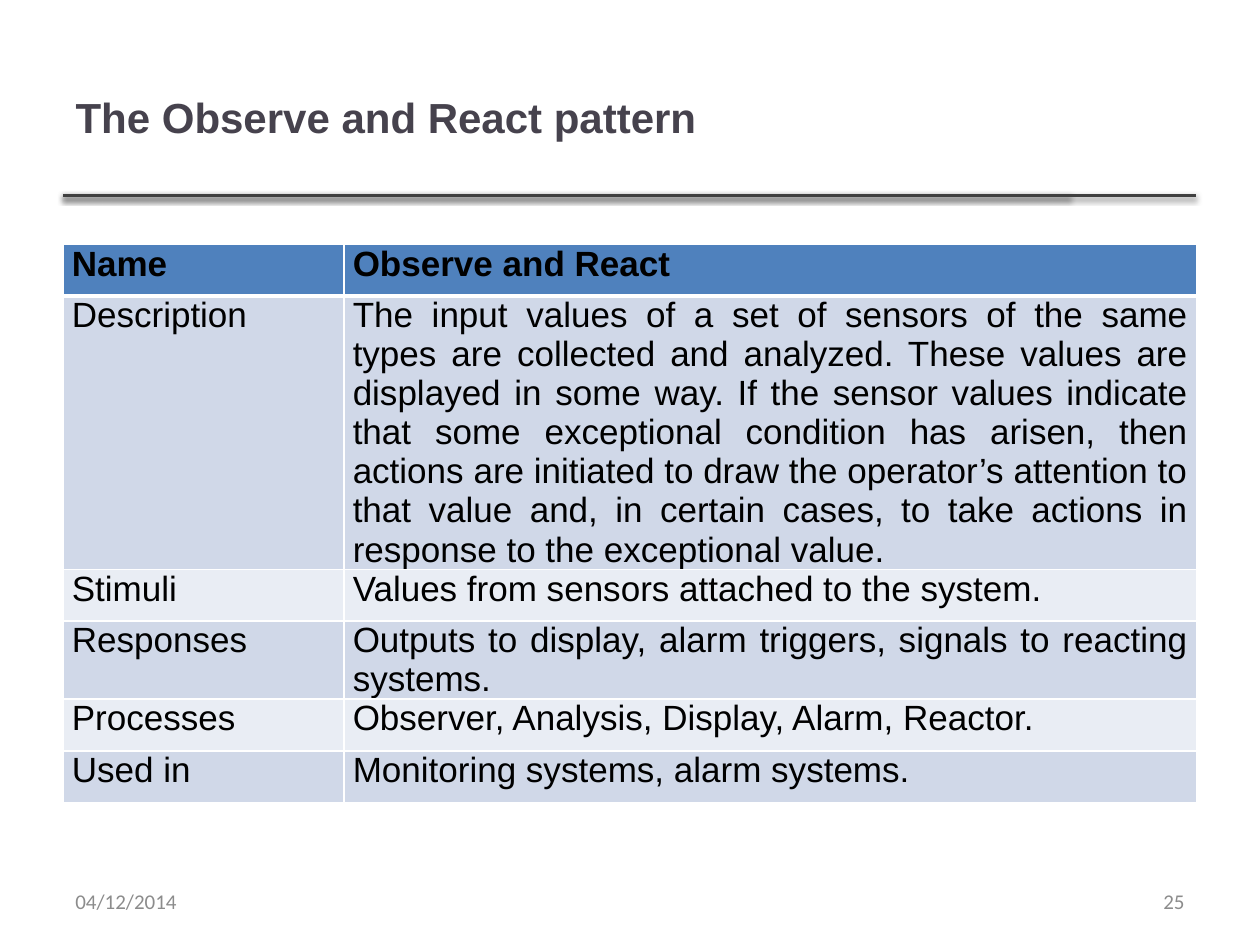
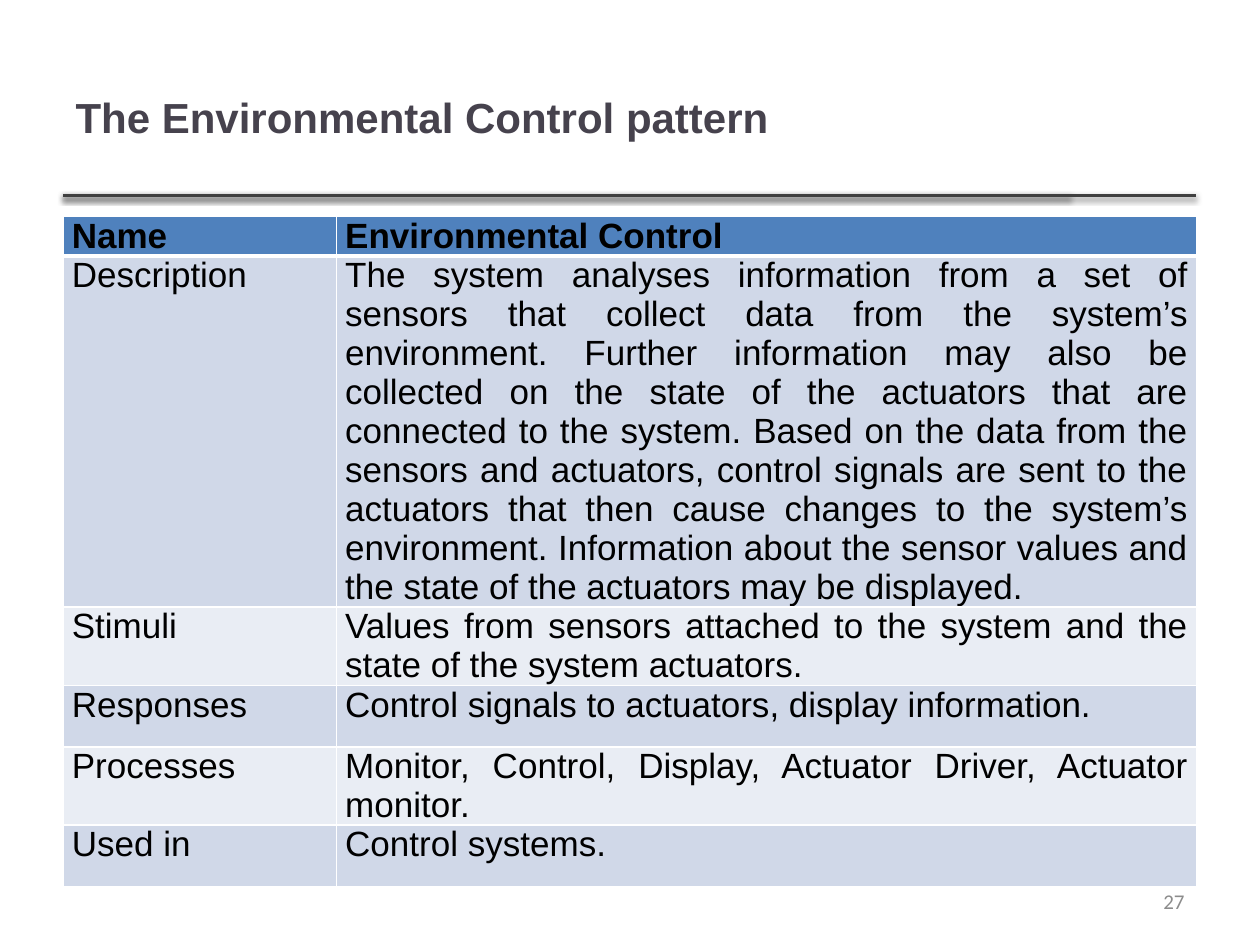
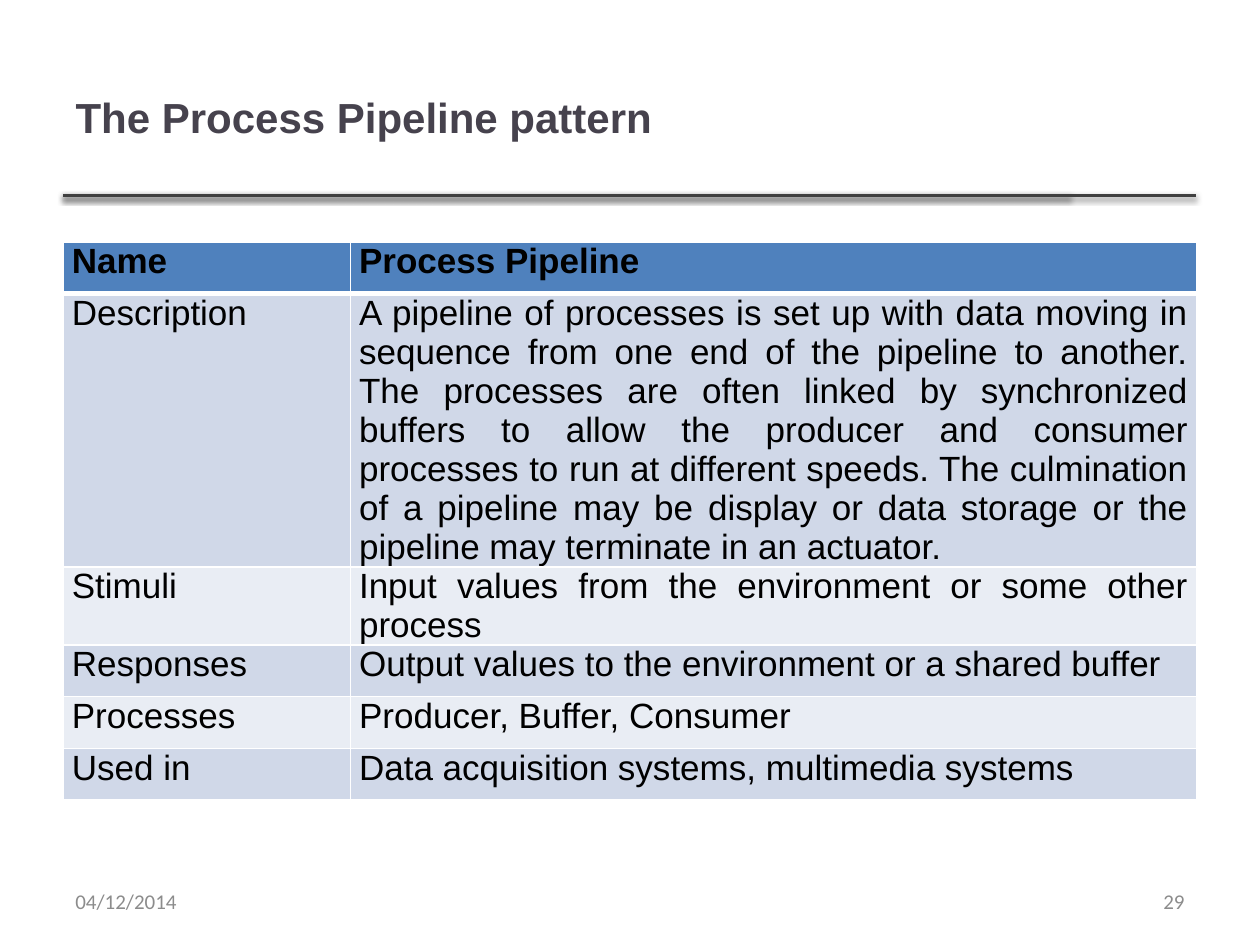
import pptx
import pptx.dml.color
import pptx.enum.shapes
import pptx.enum.text
import pptx.oxml
import pptx.oxml.ns
import pptx.util

Inches = pptx.util.Inches
Pt = pptx.util.Pt
RGBColor = pptx.dml.color.RGBColor
ALIGN = pptx.enum.text.PP_ALIGN
MIDDLE = pptx.enum.text.MSO_ANCHOR.MIDDLE

BLACK = RGBColor(0x00, 0x00, 0x00)
WHITE = RGBColor(0xFF, 0xFF, 0xFF)
TITLE_INK = RGBColor(0x46, 0x42, 0x4D)
RULE_GREY = RGBColor(0x40, 0x40, 0x40)
FOOTER_GREY = RGBColor(0x8C, 0x8C, 0x8C)
HEADER_BLUE = RGBColor(0x4F, 0x81, 0xBD)
BANDS = (RGBColor(0xE9, 0xED, 0xF4), RGBColor(0xD0, 0xD8, 0xE8))

TITLE_FONT = {"name": "Arial", "size": Pt(24), "bold": True}
HEADER_FONT = {"name": "Arial", "size": Pt(20), "bold": True}
BODY_FONT = {**HEADER_FONT, "bold": False}
FOOTER_FONT = {"name": "Calibri", "size": Pt(12), "bold": False}

TITLE_BOX = (0.5, 0.3, 7.98, 1.25)
DATE_BOX = (0.5, 6.95, 2.33, 0.4)
NUMBER_BOX = (7.17, 6.95, 2.33, 0.4)
RULE_LEFT, RULE_TOP, RULE_ENDS = 0.5, 1.55, (8.49, 9.49)
FIELDS = ("Name", "Description", "Stimuli", "Responses", "Processes", "Used in")
EVEN_ROWS = [0.41] * len(FIELDS)

PATTERNS = [
    {
        "title": "The Observe and React pattern",
        "date": "04/12/2014",
        "number": "25",
        "box": (0.5, 1.94, 9, 4.62),
        "field_width": 2.23,
        "rows": EVEN_ROWS,
        "values": [
            "Observe and React",
            "The input values of a set of sensors of the same types are collected and "
            "analyzed. These values are displayed in some way. If the sensor values "
            "indicate that some exceptional condition has arisen, then actions are "
            "initiated to draw the operator’s attention to that value and, in certain "
            "cases, to take actions in response to the exceptional value.",
            "Values from sensors attached to the system.",
            "Outputs to display, alarm triggers, signals to reacting systems.",
            "Observer, Analysis, Display, Alarm, Reactor.",
            "Monitoring systems, alarm systems.",
        ],
    },
    {
        "title": "The Environmental Control pattern",
        "date": None,
        "number": "27",
        "box": (0.5, 1.72, 9, 5.65),
        "field_width": 2.17,
        "rows": [0.28, 1.69, 0.56, 0.49, 0.49, 0.49],
        "values": [
            "Environmental Control",
            "The system analyses information from a set of sensors that collect data "
            "from the system’s environment. Further information may also be collected "
            "on the state of the actuators that are connected to the system. Based on "
            "the data from the sensors and actuators, control signals are sent to the "
            "actuators that then cause changes to the system’s environment. Information "
            "about the sensor values and the state of the actuators may be displayed.",
            "Values from sensors attached to the system and the state of the system "
            "actuators.",
            "Control signals to actuators, display information.",
            "Monitor, Control, Display, Actuator Driver, Actuator monitor.",
            "Control systems.",
        ],
    },
    {
        "title": "The Process Pipeline pattern",
        "date": "04/12/2014",
        "number": "29",
        "box": (0.5, 1.92, 9, 4.62),
        "field_width": 2.28,
        "rows": EVEN_ROWS,
        "values": [
            "Process Pipeline",
            "A pipeline of processes is set up with data moving in sequence from one end "
            "of the pipeline to another. The processes are often linked by synchronized "
            "buffers to allow the producer and consumer processes to run at different "
            "speeds. The culmination of a pipeline may be display or data storage or the "
            "pipeline may terminate in an actuator.",
            "Input values from the environment or some other process",
            "Output values to the environment or a shared buffer",
            "Producer, Buffer, Consumer",
            "Data acquisition systems, multimedia systems",
        ],
    },
]


def set_attributes(target, values):
    for key, value in values.items():
        setattr(target, key, value)


def write(frame, text, font, color, **paragraph_format):
    frame.text = text
    paragraph = frame.paragraphs[0]
    set_attributes(paragraph, paragraph_format)
    set_attributes(paragraph.runs[0].font, font)
    paragraph.runs[0].font.color.rgb = color


def add_title(slide, box, text):
    title = slide.shapes.title
    edges = ("left", "top", "width", "height")
    set_attributes(title, dict(zip(edges, map(Inches, box))))
    set_attributes(title.text_frame, {
        "vertical_anchor": MIDDLE,
        "word_wrap": True,
        "auto_size": pptx.enum.text.MSO_AUTO_SIZE.NONE,
    })
    write(title.text_frame, text, TITLE_FONT, TITLE_INK, alignment=ALIGN.LEFT)


def add_title_rules(slide, left, top, ends):
    for end in ends:
        rule = slide.shapes.add_connector(
            pptx.enum.shapes.MSO_CONNECTOR.STRAIGHT,
            Inches(left), Inches(top), Inches(end), Inches(top))
        rule.line.color.rgb = RULE_GREY
        rule.line.width = Pt(2)
        rule.element.spPr.append(pptx.oxml.parse_xml(
            f'<a:effectLst {pptx.oxml.ns.nsdecls("a")}>'
            f'<a:outerShdw blurRad="{Pt(3.1)}" dist="{Pt(1.6)}" dir="5400000" '
            f'rotWithShape="0"><a:srgbClr val="{BLACK}"><a:alpha val="38000"/>'
            '</a:srgbClr></a:outerShdw></a:effectLst>'))


def add_footer(slide, box, text, alignment):
    footer = slide.shapes.add_textbox(*map(Inches, box)).text_frame
    footer.word_wrap = True
    footer.vertical_anchor = MIDDLE
    write(footer, text, FOOTER_FONT, FOOTER_GREY, alignment=alignment)


def set_borders(cell, top, bottom):
    widths = {"lnL": 1, "lnR": 1, "lnT": top, "lnB": bottom}
    properties = cell._tc.get_or_add_tcPr()
    for position, (side, width) in enumerate(widths.items()):
        properties.insert(position, pptx.oxml.parse_xml(
            f'<a:{side} {pptx.oxml.ns.nsdecls("a")} w="{Pt(width)}">'
            f'<a:solidFill><a:srgbClr val="{WHITE}"/></a:solidFill></a:{side}>'))


def fill_cell(cell, row, text):
    is_header = row == 0
    set_attributes(cell, {
        "margin_left": Inches(0.07), "margin_right": Inches(0.07),
        "margin_top": 0, "margin_bottom": 0,
    })
    write(cell.text_frame, text, HEADER_FONT if is_header else BODY_FONT, BLACK,
          alignment=ALIGN.JUSTIFY, space_before=Pt(3 if row < 2 else 0),
          space_after=Pt(3))
    cell.fill.solid()
    cell.fill.fore_color.rgb = HEADER_BLUE if is_header else BANDS[row % 2]
    set_borders(cell, top=3 if row == 1 else 1, bottom=3 if is_header else 1)


def add_pattern_table(slide, box, field_width, heights, values):
    frame = slide.shapes.add_table(len(FIELDS), 2, *map(Inches, box))
    table = frame.table
    for column, width in zip(table.columns, (field_width, box[2] - field_width)):
        column.width = Inches(width)
    for row, (height, texts) in enumerate(zip(heights, zip(FIELDS, values))):
        table.rows[row].height = Inches(height)
        for column, text in enumerate(texts):
            fill_cell(table.cell(row, column), row, text)
    frame.height = Inches(box[3])


def add_pattern_slide(deck, pattern):
    slide = deck.slides.add_slide(deck.slide_layouts.get_by_name("Title Only"))
    add_title_rules(slide, RULE_LEFT, RULE_TOP, RULE_ENDS)
    add_title(slide, TITLE_BOX, pattern["title"])
    add_pattern_table(slide, pattern["box"], pattern["field_width"],
                      pattern["rows"], pattern["values"])
    if pattern["date"]:
        add_footer(slide, DATE_BOX, pattern["date"], ALIGN.LEFT)
    add_footer(slide, NUMBER_BOX, pattern["number"], ALIGN.RIGHT)


def main():
    deck = pptx.Presentation()
    deck.slide_width, deck.slide_height = Inches(10), Inches(7.5)
    for pattern in PATTERNS:
        add_pattern_slide(deck, pattern)
    deck.save("out.pptx")


if __name__ == "__main__":
    main()
